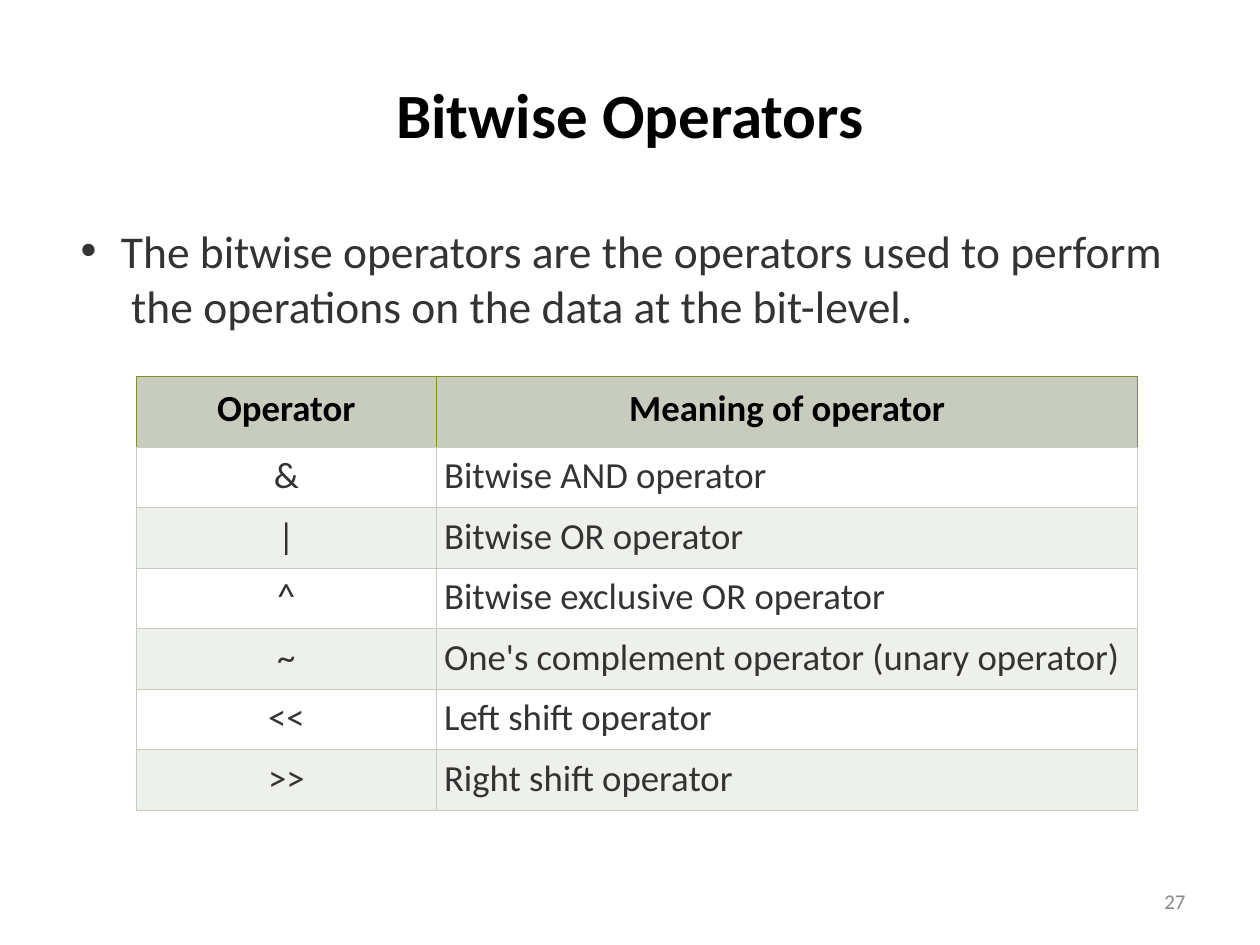
from lxml import etree
from pptx import Presentation
from pptx import util as u
from pptx.dml.color import RGBColor
from pptx.enum import text
from pptx.oxml import ns

BLACK = RGBColor(0x00, 0x00, 0x00)
DARK = RGBColor(0x33, 0x33, 0x33)
GREY = RGBColor(0x88, 0x88, 0x88)
SAGE = RGBColor(0xC7, 0xCC, 0xBE)
PALE = RGBColor(0xEE, 0xF1, 0xEB)
OLIVE = RGBColor(0x80, 0x92, 0x1E)

WIDTH, HEIGHT = 10, 7.5
TITLE_BOX = (3.12, 0.59, 3.76, 0.63)
BODY_BOX = (0.63, 1.76, 8.65, 0.89)
TABLE_BOX = (1.08, 2.99, 7.95, 3.44)
NUMBER_BOX = (9.2, 7.07, 0.25, 0.19)
OPERATOR_SHARE = 0.3
HEADER_HEIGHT = 0.56

ROWS = [
    ("Operator", "Meaning of operator"),
    ("&", "Bitwise AND operator"),
    ("|", "Bitwise OR operator"),
    ("^", "Bitwise exclusive OR operator"),
    ("~", "One's complement operator (unary operator)"),
    ("<<", "Left shift operator"),
    (">>", "Right shift operator"),
]


def inches(box):
    return [u.Inches(length) for length in box]


def style(paragraph, size, color, bold=False, align=text.PP_ALIGN.LEFT, before=0):
    paragraph.alignment = align
    paragraph.space_before = u.Pt(before)
    font = paragraph.font
    font.name, font.size, font.bold = "Calibri", u.Pt(size), bold
    font.color.rgb = color


def write(shape, box, words):
    """Place a shape with a tight frame and return its only paragraph."""
    shape.left, shape.top, shape.width, shape.height = inches(box)
    frame = shape.text_frame
    frame.word_wrap = True
    frame.auto_size = text.MSO_AUTO_SIZE.NONE
    frame.vertical_anchor = text.MSO_ANCHOR.TOP
    frame.margin_left = frame.margin_right = frame.margin_bottom = 0
    frame.margin_top = u.Inches(0.01)
    frame.text = words
    return frame.paragraphs[0]


def add_title(slide, box):
    paragraph = write(slide.shapes.title, box, "Bitwise Operators")
    style(paragraph, 36, BLACK, bold=True, align=text.PP_ALIGN.CENTER)


def add_body(slide, box):
    paragraph = write(
        slide.placeholders[1], box,
        "The bitwise operators are the operators used to perform\v"
        " the operations on the data at the bit-level.")
    properties = paragraph._p.get_or_add_pPr()
    properties.set("marL", str(u.Inches(0.33)))
    properties.set("indent", str(u.Inches(-0.32)))
    etree.SubElement(properties, ns.qn("a:buChar")).set("char", "•")
    style(paragraph, 26, DARK)


def add_number(slide, box):
    paragraph = write(slide.shapes.add_textbox(*inches(box)), box, "27")
    style(paragraph, 12, GREY, align=text.PP_ALIGN.CENTER)
    paragraph.line_spacing = u.Pt(12.4)


def set_borders(cell, colors):
    """Draw left, right, top and bottom borders in the given colours."""
    properties = cell._tc.get_or_add_tcPr()
    for side, color in zip("LRTB", colors):
        line = etree.SubElement(properties, ns.qn(f"a:ln{side}"), w=str(u.Pt(0.75)))
        fill = etree.SubElement(line, ns.qn("a:solidFill"))
        etree.SubElement(fill, ns.qn("a:srgbClr"), val=str(color))


def format_cell(cell, words, row, column):
    header = row == 0
    set_borders(cell, (OLIVE, OLIVE, OLIVE, SAGE) if header else (SAGE,) * 4)
    if header or row % 2 == 0:
        cell.fill.solid()
        cell.fill.fore_color.rgb = SAGE if header else PALE
    else:
        cell.fill.background()
    centred = header or column == 0
    cell.margin_left = 0 if centred else u.Inches(0.06)
    cell.margin_right = cell.margin_bottom = 0
    cell.margin_top = u.Inches(0.08 if header else 0.05)
    cell.text = words
    style(cell.text_frame.paragraphs[0], 21, BLACK if header else DARK, bold=header,
          align=text.PP_ALIGN.CENTER if centred else text.PP_ALIGN.LEFT,
          before=5.9 if header else 3.6)


def add_operator_table(slide, box):
    width, height = box[2:]
    table = slide.shapes.add_table(len(ROWS), 2, *inches(box)).table
    table.first_row = table.horz_banding = False
    for column, share in zip(table.columns, (OPERATOR_SHARE, 1 - OPERATOR_SHARE)):
        column.width = u.Inches(width * share)
    row_height = (height - HEADER_HEIGHT) / (len(ROWS) - 1)
    for row, values in enumerate(ROWS):
        table.rows[row].height = u.Inches(row_height if row else HEADER_HEIGHT)
        for column, words in enumerate(values):
            format_cell(table.cell(row, column), words, row, column)


def main():
    presentation = Presentation()
    presentation.slide_width = u.Inches(WIDTH)
    presentation.slide_height = u.Inches(HEIGHT)
    slide = presentation.slides.add_slide(presentation.slide_layouts[1])
    add_number(slide, NUMBER_BOX)
    add_title(slide, TITLE_BOX)
    add_body(slide, BODY_BOX)
    add_operator_table(slide, TABLE_BOX)
    presentation.save("out.pptx")


if __name__ == "__main__":
    main()
